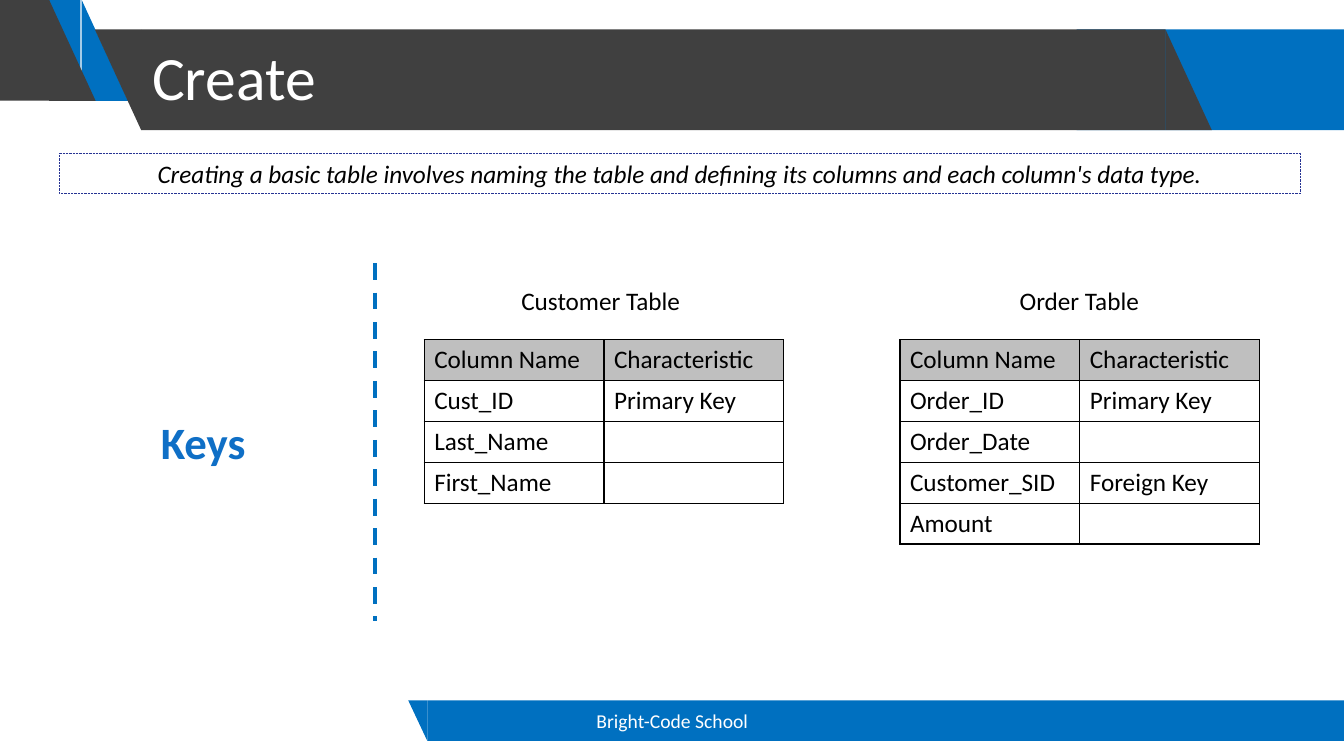
from typing import NamedTuple

from lxml.etree import SubElement
from pptx import Presentation
from pptx.dml.color import RGBColor
from pptx.enum.dml import MSO_LINE
from pptx.enum.shapes import MSO_CONNECTOR, MSO_SHAPE
from pptx.enum.text import MSO_ANCHOR, PP_ALIGN
from pptx.oxml import parse_xml
from pptx.oxml.ns import nsdecls, qn
from pptx.util import Cm, Pt

BLUE, DARK, GREY = "0070C0", "404040", "BFBFBF"
BLACK, WHITE = "000000", "FFFFFF"
SLANT, BAND, ROW, COL = 1.17, 2.54, 1.02, 4.53
BAR, FOOT = 0.74, 17.65


class Piece(NamedTuple):
    """One part of the header or footer band, in centimetres."""
    left: float
    top: float
    width: float
    height: float
    fill: str
    kind: MSO_SHAPE = MSO_SHAPE.RECTANGLE
    flip: bool = False


class Label(NamedTuple):
    """A line of text in its own box, in centimetres."""
    text: str
    left: float
    top: float
    width: float
    height: float
    size: float = 18
    color: str = BLACK
    bold: bool = False


class Grid(NamedTuple):
    """A two-column table of column names and their roles."""
    left: float
    rows: list[tuple[str, str]]


WEDGE = MSO_SHAPE.RIGHT_TRIANGLE
PIECES = [
    Piece(27.13, BAR, 6.74, BAND, BLUE),
    Piece(2.06, 0, SLANT, BAND, BLUE, WEDGE),
    Piece(0.86, 0, SLANT, BAND, BLUE, WEDGE, True),
    Piece(0, 0, 1.24, BAND, DARK),
    Piece(1.24, 0, SLANT, BAND, DARK, WEDGE),
    Piece(2.39, BAR, SLANT, BAND, DARK, WEDGE, True),
    Piece(3.56, BAR, 25.81, BAND, DARK),
    Piece(29.37, BAR, SLANT, BAND, DARK, WEDGE),
    Piece(10.77, FOOT, 23.1, ROW, BLUE),
    Piece(10.29, FOOT, 0.48, ROW, BLUE, WEDGE, True),
]
LABELS = [
    Label("Bright-Code School", 11.23, FOOT, 11.43, ROW, 14, WHITE),
    Label("Keys", 0.79, 10.31, 8.66, 1.63, 32, "0F6FC6", True),
    Label("Customer Table", 11.23, 7.06, 7.82, ROW),
    Label("Order Table", 23.29, 7.06, 7.82, ROW),
]
HEAD = ("Column Name", "Characteristic")
GRIDS = [
    Grid(10.69, [HEAD, ("Cust_ID", "Primary Key"), ("Last_Name", ""),
                 ("First_Name", "")]),
    Grid(22.68, [HEAD, ("Order_ID", "Primary Key"), ("Order_Date", ""),
                 ("Customer_SID", "Foreign Key"), ("Amount", "")]),
]


def tint(code: str) -> RGBColor:
    """Turn a hex string into a colour."""
    return RGBColor.from_string(code)


def place(left: float, top: float, width: float, height: float) -> tuple:
    """Turn centimetres into a shape's position and size."""
    return Cm(left), Cm(top), Cm(width), Cm(height)


def write(frame, text: str, size: float, color: str = BLACK,
          bold: bool = False, italic: bool = False, align=PP_ALIGN.CENTER) -> None:
    """Put one styled run in a text frame."""
    frame.word_wrap = True
    frame.vertical_anchor = MSO_ANCHOR.MIDDLE
    para = frame.paragraphs[0]
    para.alignment = align
    run = para.add_run()
    run.text = text
    font = run.font
    font.name, font.size, font.bold, font.italic = "Calibri", Pt(size), bold, italic
    font.color.rgb = tint(color)


def draw_piece(slide, piece: Piece) -> None:
    """Draw one filled part of a band."""
    shape = slide.shapes.add_shape(piece.kind, *place(*piece[:4]))
    shape.shadow.inherit = False
    shape.fill.solid()
    shape.fill.fore_color.rgb = tint(piece.fill)
    shape.line.fill.background()
    if piece.flip:
        frame = shape._element.spPr.find(qn("a:xfrm"))
        frame.set("flipH", "1")
        frame.set("flipV", "1")


def draw_title(slide, text: str) -> None:
    """Set the title and bring it in front of the band."""
    title = slide.shapes.title
    title.left, title.top, title.width, title.height = place(3.58, 0.18, 25.76, 3.68)
    write(title.text_frame, text, 44, WHITE, align=PP_ALIGN.LEFT)
    title.text_frame.paragraphs[0].line_spacing = 0.9
    slide.shapes._spTree.append(title._element)


def draw_label(slide, label: Label) -> None:
    """Draw one centred text box."""
    box = slide.shapes.add_textbox(*place(*label[1:5]))
    write(box.text_frame, label.text, label.size, label.color, label.bold)


def draw_note(slide, text: str) -> None:
    """Draw the dotted box with the summary."""
    box = slide.shapes.add_shape(MSO_SHAPE.RECTANGLE, *place(1.5, 3.86, 31.27, ROW))
    box.shadow.inherit = False
    box.fill.background()
    box.line.color.rgb = tint("263393")
    box.line.width = Pt(0.5)
    box.line.dash_style = MSO_LINE.ROUND_DOT
    write(box.text_frame, text, 18, italic=True)


def draw_rule(slide) -> None:
    """Draw the dashed upright line."""
    rule = slide.shapes.add_connector(
        MSO_CONNECTOR.STRAIGHT, Cm(9.45), Cm(6.63), Cm(9.45), Cm(15.65))
    rule.line.color.rgb = tint(BLUE)
    rule.line.width = Pt(3)
    rule.line.dash_style = MSO_LINE.DASH
    SubElement(rule._element.spPr, qn("a:effectLst"))


def edge(cell) -> None:
    """Give a cell thin black borders."""
    props = cell._tc.get_or_add_tcPr()
    for side in ("lnL", "lnR", "lnT", "lnB"):
        props.append(parse_xml(
            f'<a:{side} {nsdecls("a")} w="{Pt(1)}"><a:solidFill>'
            f'<a:srgbClr val="{BLACK}"/></a:solidFill></a:{side}>'))


def draw_grid(slide, grid: Grid) -> None:
    """Draw one table with a grey head row."""
    count = len(grid.rows)
    table = slide.shapes.add_table(
        count, 2, *place(grid.left, 8.56, 2 * COL, count * ROW)).table
    table.first_row = table.horz_banding = False
    for y, row in enumerate(grid.rows):
        for x, text in enumerate(row):
            cell = table.cell(y, x)
            edge(cell)
            if y == 0:
                cell.fill.solid()
                cell.fill.fore_color.rgb = tint(GREY)
            else:
                cell.fill.background()
            cell.vertical_anchor = MSO_ANCHOR.MIDDLE
            if text:
                write(cell.text_frame, text, 18, align=PP_ALIGN.LEFT)


def main() -> None:
    """Build the slide and save it."""
    deck = Presentation()
    deck.slide_width, deck.slide_height = Cm(33.87), Cm(19.05)
    slide = deck.slides.add_slide(deck.slide_layouts[5])
    for piece in PIECES:
        draw_piece(slide, piece)
    draw_title(slide, "Create")
    draw_note(slide, "Creating a basic table involves naming the table and "
                     "defining its columns and each column's data type.")
    draw_rule(slide)
    for grid in GRIDS:
        draw_grid(slide, grid)
    for label in LABELS:
        draw_label(slide, label)
    deck.save("out.pptx")


if __name__ == "__main__":
    main()
